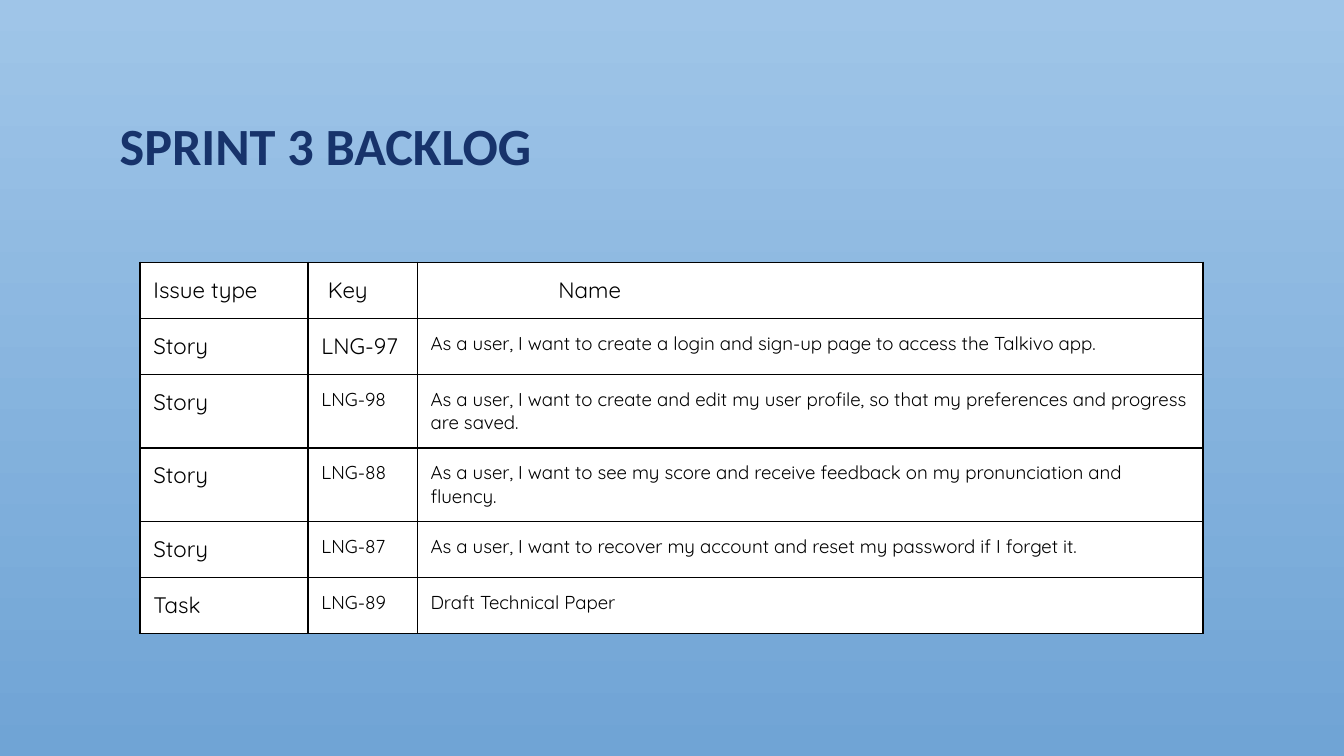
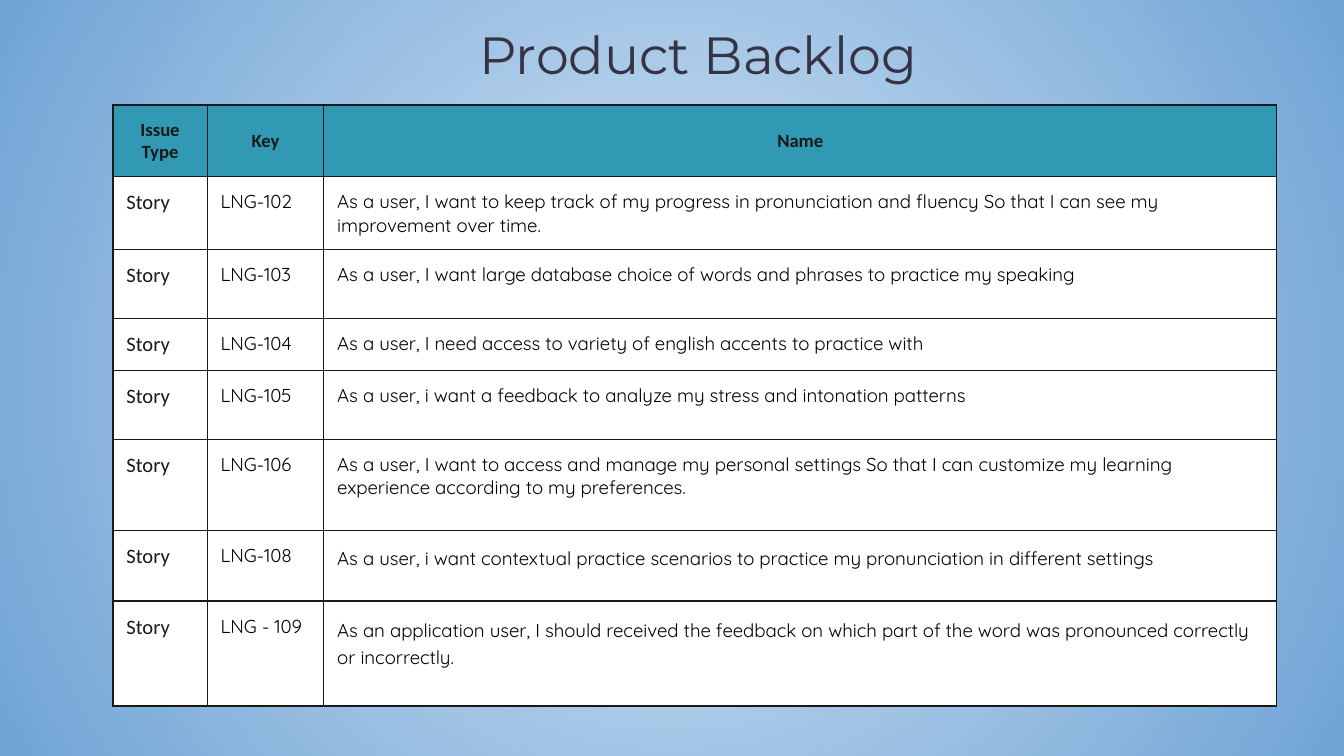
from dataclasses import dataclass, replace

from lxml import etree
from pptx import Presentation
from pptx import util as u
from pptx.dml.color import RGBColor
from pptx.enum import text
from pptx.oxml import ns

Pt = u.Pt


# Theme
@dataclass(frozen=True)
class TextStyle:
    font: str
    size: float
    color: str
    bold: bool = False
    align: object = text.PP_ALIGN.LEFT
    anchor: object = text.MSO_ANCHOR.TOP
    spacing: float = 1.0
    indent: float = 0


@dataclass(frozen=True)
class Theme:
    sky: str = "9FC5E8"
    pale_sky: str = "D4E5F5"
    deep_sky: str = "70A4D5"
    white: str = "FFFFFF"
    black: str = "000000"
    ink: str = "191919"
    teal: str = "3199B4"
    inset: float = 7.2
    border: float = 0.75
    sprint_title: TextStyle = TextStyle("Calibri", 28, "17336B", True,
                                        anchor=text.MSO_ANCHOR.MIDDLE)
    product_title: TextStyle = TextStyle("Montserrat", 28, "353445",
                                         align=text.PP_ALIGN.CENTER)
    large: TextStyle = TextStyle("Quicksand", 12, "000000")
    body: TextStyle = TextStyle("Quicksand", 10, "000000")
    story: TextStyle = TextStyle("Calibri", 11, "191919")
    header: TextStyle = TextStyle("Calibri", 10, "191919", True,
                                  text.PP_ALIGN.CENTER, text.MSO_ANCHOR.MIDDLE)


THEME = Theme()


class Deck:
    """Holds the theme and the slide being built."""

    def __init__(self, theme):
        self.theme = theme
        self.prs = Presentation()
        self.prs.slide_width, self.prs.slide_height = Pt(720), Pt(405)
        self.slide = None

    def add_slide(self, start, end, radial=False):
        self.slide = self.prs.slides.add_slide(self.prs.slide_layouts[6])
        fill = self.slide.background.fill
        fill.gradient()
        fill.gradient_angle = 270
        for stop, color in zip(fill.gradient_stops, (start, end)):
            stop.color.rgb = RGBColor.from_string(color)
        if radial:
            line = self.slide.element.find(".//" + ns.qn("a:lin"))
            circle = etree.SubElement(line.getparent(), ns.qn("a:path"), path="circle")
            line.getparent().replace(line, circle)
            etree.SubElement(circle, ns.qn("a:fillToRect"),
                             {side: "50000" for side in "ltrb"})

    def set_text(self, frame, words, style):
        frame.text = words
        paragraph = frame.paragraphs[0]
        paragraph.alignment = style.align
        if style.spacing != 1:
            paragraph.line_spacing = style.spacing
        font = paragraph.font
        font.name, font.size, font.bold = style.font, Pt(style.size), style.bold
        font.color.rgb = RGBColor.from_string(style.color)

    def title(self, words, left, top, width, height, style):
        frame = self.slide.shapes.add_textbox(
            Pt(left), Pt(top), Pt(width), Pt(height)).text_frame
        frame.word_wrap = True
        frame.vertical_anchor = style.anchor
        frame.margin_left = frame.margin_right = Pt(self.theme.inset)
        frame.margin_top = frame.margin_bottom = Pt(self.theme.inset)
        self.set_text(frame, words, style)

    def outline(self, cell, color):
        properties = cell._tc.get_or_add_tcPr()
        for place, side in enumerate(("lnL", "lnR", "lnT", "lnB")):
            line = etree.Element(ns.qn("a:" + side), w=str(int(Pt(self.theme.border))))
            solid = etree.SubElement(line, ns.qn("a:solidFill"))
            etree.SubElement(solid, ns.qn("a:srgbClr"), val=color)
            properties.insert(place, line)

    def table(self, left, top, widths, heights, rows, style_of, header_fill, border):
        table = self.slide.shapes.add_table(
            len(rows), len(widths), Pt(left), Pt(top),
            Pt(sum(widths)), Pt(sum(heights))).table
        for column, width in zip(table.columns, widths):
            column.width = Pt(width)
        for r, (height, row) in enumerate(zip(heights, rows)):
            table.rows[r].height = Pt(height)
            for c, words in enumerate(row):
                cell, style = table.cell(r, c), style_of(r, c)
                cell.fill.solid()
                cell.fill.fore_color.rgb = RGBColor.from_string(
                    self.theme.white if r else header_fill)
                self.outline(cell, border)
                inset = Pt(self.theme.inset)
                cell.margin_left = Pt(self.theme.inset + style.indent)
                cell.margin_right = cell.margin_top = cell.margin_bottom = inset
                cell.vertical_anchor = style.anchor
                self.set_text(cell.text_frame, words, style)


# Content
SPRINT_ROWS = [
    ("Issue type", "Key", "Name"),
    ("Story", "LNG-97",
     "As a user, I want to create a login and sign-up page to access the Talkivo app."),
    ("Story", "LNG-98",
     "As a user, I want to create and edit my user profile, so that my preferences "
     "and progress are saved."),
    ("Story", "LNG-88",
     "As a user, I want to see my score and receive feedback on my pronunciation "
     "and fluency."),
    ("Story", "LNG-87",
     "As a user, I want to recover my account and reset my password if I forget it."),
    ("Task", "LNG-89", "Draft Technical Paper"),
]
PRODUCT_ROWS = [("Issue Type", "Key", "Name")] + [("Story", key, name) for key, name in (
    ("LNG-102", "As a user, I want to keep track of my progress in pronunciation and "
                "fluency So that I can see my improvement over time."),
    ("LNG-103", "As a user, I want large database choice of words and phrases to "
                "practice my speaking"),
    ("LNG-104", "As a user, I need access to variety of english accents to practice with"),
    ("LNG-105", "As a user, i want a feedback to analyze my stress and intonation patterns"),
    ("LNG-106", "As a user, I want to access and manage my personal settings So that I "
                "can customize my learning experience according to my preferences."),
    ("LNG-108", "As a user, i want contextual practice scenarios to practice my "
                "pronunciation in different settings"),
    ("LNG - 109", "As an application user, I should received the feedback on which part "
                  "of the word was pronounced correctly or incorrectly."),
)]


def sprint_style(row, column):
    if row == 0:
        return replace(THEME.large, indent=(0, 3.5, 68.5)[column])
    return THEME.large if column == 0 or (row, column) == (1, 1) else THEME.body


def product_style(row, column):
    if row == 0:
        return THEME.header
    if column == 0:
        return THEME.story
    loose = {6: 1.15, 7: 1.17} if column == 2 else {}
    return replace(THEME.body, spacing=loose.get(row, 1.0))


def main():
    deck = Deck(THEME)

    # Sprint backlog
    deck.add_slide(THEME.sky, THEME.deep_sky)
    deck.title("SPRINT 3 BACKLOG", 57, 55, 607, 45, THEME.sprint_title)
    deck.table(75, 140.5, (90, 58.5, 421), (30, 30, 39.5, 39.5, 30, 30),
               SPRINT_ROWS, sprint_style, THEME.white, THEME.black)

    # Product backlog
    deck.add_slide(THEME.pale_sky, THEME.deep_sky, radial=True)
    deck.title("Product Backlog", 86.5, 4.5, 575, 48, THEME.product_title)
    deck.table(60.5, 56.25, (50.5, 62.5, 510.5),
               (38.25, 39, 37, 27.25, 37, 48.75, 38, 56.25),
               PRODUCT_ROWS, product_style, THEME.teal, THEME.ink)

    deck.prs.save("out.pptx")


if __name__ == "__main__":
    main()
